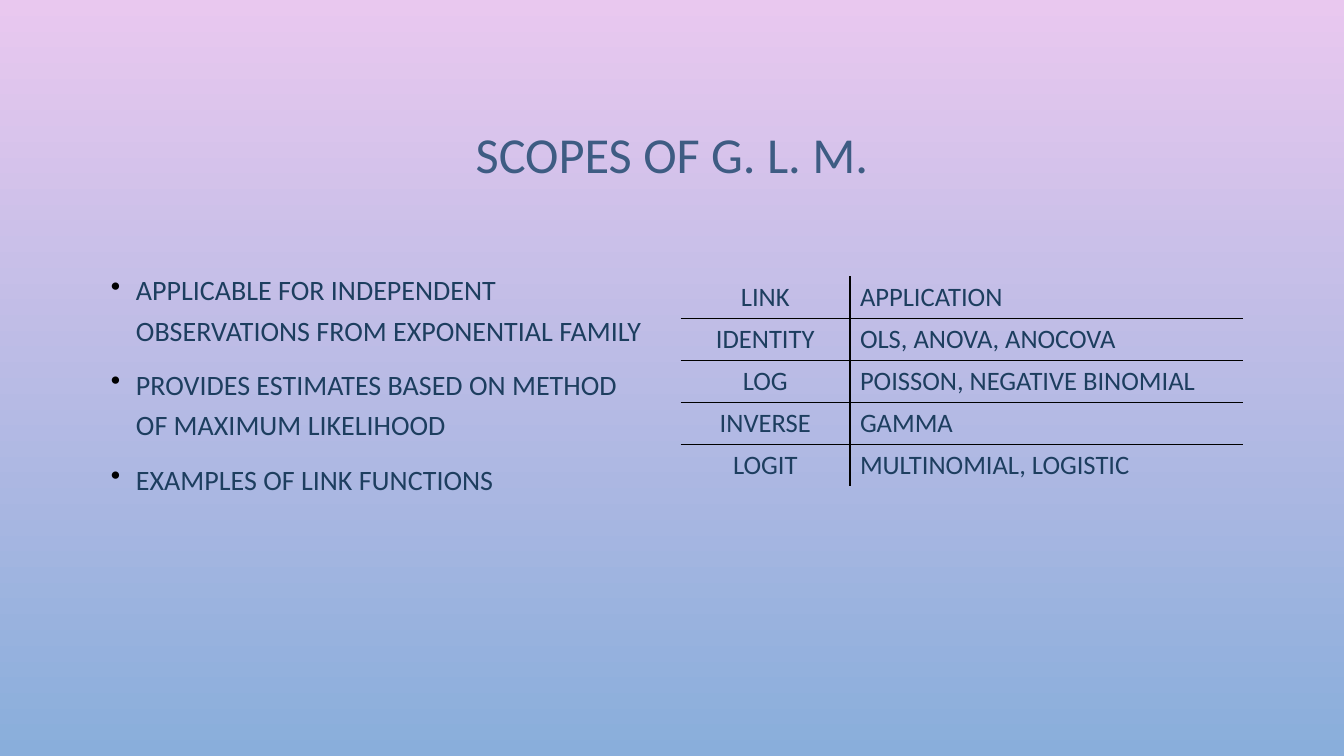
from dataclasses import dataclass

from lxml.etree import SubElement as Sub
from pptx import Presentation
from pptx.dml.color import RGBColor as Rgb
from pptx.enum.text import MSO_ANCHOR as Anchor, PP_ALIGN as Align
from pptx.oxml.ns import qn
from pptx.util import Inches, Pt

HUE = {"top": "E9C8EF", "base": "89AEDB", "title": "3E5C83",
       "text": "1D3E5F", "line": "000000"}
FONT = "Calibri"


@dataclass
class Block:
    left: float
    top: float
    width: float
    height: float
    lines: list[str]
    size: int
    hue: str
    space: float
    align: Align = Align.LEFT
    anchor: Anchor = Anchor.TOP
    before: int = 0
    dots: bool = False


def style(para, size: int, hue: str, align: Align) -> None:
    para.alignment = align
    for run in para.runs:
        run.font.name = FONT
        run.font.size = Pt(size)
        run.font.color.rgb = Rgb.from_string(HUE[hue])


def bullet(para) -> None:
    props = para._p.get_or_add_pPr()
    props.set("marL", str(Inches(0.25)))
    props.set("indent", str(Inches(-0.25)))
    tint = Sub(props, qn("a:buClr"))
    Sub(tint, qn("a:srgbClr"), val=HUE["line"])
    Sub(props, qn("a:buChar"), char="\u2022")


def write(slide, block: Block) -> None:
    box = slide.shapes.add_textbox(Inches(block.left), Inches(block.top),
                                   Inches(block.width), Inches(block.height))
    frame = box.text_frame
    frame.word_wrap = True
    frame.vertical_anchor = block.anchor
    frame.text = "\n".join(block.lines)
    for para in frame.paragraphs:
        style(para, block.size, block.hue, block.align)
        para.line_spacing = block.space
        para.space_before = Pt(block.before)
        if block.dots:
            bullet(para)


def edge(cell, side: str, shown: bool) -> None:
    line = Sub(cell._tc.get_or_add_tcPr(), qn(f"a:ln{side}"), w=str(Pt(1)))
    if shown:
        fill = Sub(line, qn("a:solidFill"))
        Sub(fill, qn("a:srgbClr"), val=HUE["line"])
    else:
        Sub(line, qn("a:noFill"))


def grid(slide, rows: list[tuple[str, str]], widths: list[float]) -> None:
    high = 0.41
    count = len(rows)
    table = slide.shapes.add_table(count, len(widths), Inches(6.75), Inches(2.74),
                                   Inches(sum(widths)), Inches(high * count)).table
    table.first_row = table.horz_banding = False
    for col, width in zip(table.columns, widths):
        col.width = Inches(width)
    for r, row in enumerate(rows):
        table.rows[r].height = Inches(high)
        for c, word in enumerate(row):
            cell = table.cell(r, c)
            cell.text_frame.text = word
            cell.vertical_anchor = Anchor.MIDDLE
            style(cell.text_frame.paragraphs[0], 19, "text",
                  Align.LEFT if c else Align.CENTER)
            edge(cell, "L", c > 0)
            edge(cell, "R", c < len(widths) - 1)
            edge(cell, "T", r > 0)
            edge(cell, "B", r < count - 1)
            cell.fill.background()


deck = Presentation()
deck.slide_width, deck.slide_height = Inches(13.33), Inches(7.5)
slide = deck.slides.add_slide(deck.slide_layouts[6])
back = slide.background.fill
back.gradient()
back.gradient_angle = 270
for stop, name in zip(back.gradient_stops, ("top", "base")):
    stop.color.rgb = Rgb.from_string(HUE[name])

title = Block(1, 0.68, 11.33, 1.75, ["SCOPES OF G. L. M."], 36, "title", 0.9,
              Align.CENTER, Anchor.MIDDLE)
points = Block(1, 2.59, 5.58, 3.74, [
    "APPLICABLE FOR INDEPENDENT OBSERVATIONS FROM EXPONENTIAL FAMILY",
    "PROVIDES ESTIMATES BASED ON METHOD OF MAXIMUM LIKELIHOOD",
    "EXAMPLES OF LINK FUNCTIONS",
], 20, "text", 1.2, before=10, dots=True)
for block in (title, points):
    write(slide, block)

grid(slide, [
    ("LINK", "APPLICATION"),
    ("IDENTITY", "OLS, ANOVA, ANOCOVA"),
    ("LOG", "POISSON, NEGATIVE BINOMIAL"),
    ("INVERSE", "GAMMA"),
    ("LOGIT", "MULTINOMIAL, LOGISTIC"),
], [1.68, 3.9])

deck.save("out.pptx")
